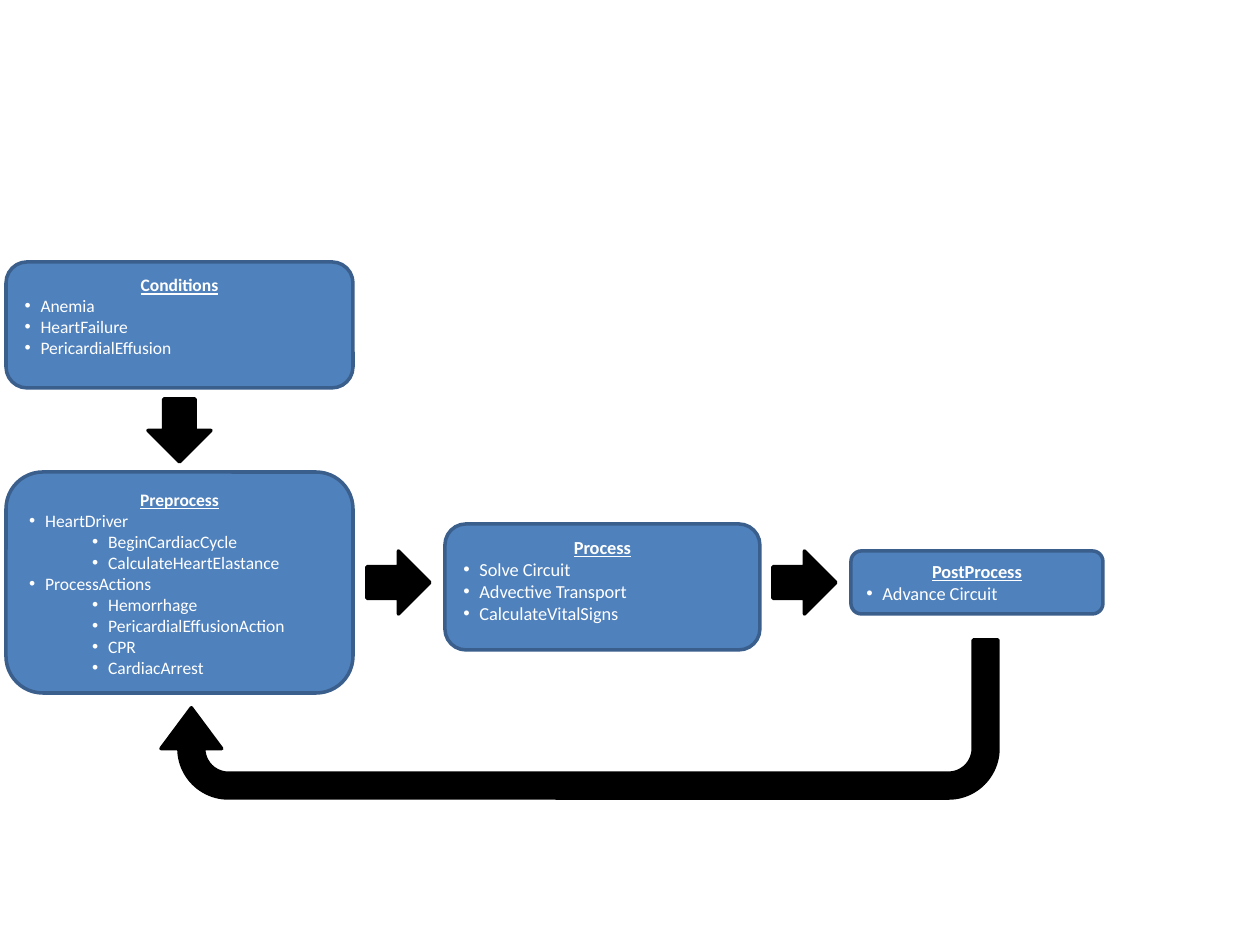
from lxml import etree
from pptx import Presentation
from pptx.dml.color import RGBColor
from pptx.enum.shapes import MSO_SHAPE
from pptx.enum.text import MSO_ANCHOR, PP_ALIGN
from pptx.oxml.ns import qn
from pptx.util import Emu, Pt

ROUND, DOWN, UTURN = MSO_SHAPE.ROUNDED_RECTANGLE, MSO_SHAPE.DOWN_ARROW, MSO_SHAPE.U_TURN_ARROW
LEFT, CENTER, TOP = PP_ALIGN.LEFT, PP_ALIGN.CENTER, MSO_ANCHOR.TOP
SCALE = 914400 // 126


def px(n):
    return Emu(n * SCALE)


def color(code):
    return RGBColor.from_string(code)


def write(para, text, size=10, bold=False, under=False, align=LEFT, indent=0, level=0):
    para.alignment, para.level = align, level
    run = para.add_run()
    run.text = text
    font = run.font
    font.name, font.size, font.bold, font.underline = "Calibri", Pt(size), bold, under
    font.color.rgb = color("FFFFFF")
    if indent:
        props = para._p.get_or_add_pPr()
        props.set("marL", str(px(indent)))
        props.set("indent", str(px(-16)))
        etree.SubElement(props, qn("a:buFont")).set("typeface", "Arial")
        etree.SubElement(props, qn("a:buChar")).set("char", "•")


class Flow:
    """Draws boxes and arrows of a flow chart on one slide."""

    def __init__(self, slide):
        self.slide = slide
        self.blue, self.edge, self.black = "4F81BD", "3A5F8C", "000000"

    def shape(self, kind, place, fill, line):
        item = self.slide.shapes.add_shape(kind, *map(px, place))
        item.shadow.inherit = False
        item.fill.solid()
        item.fill.fore_color.rgb = color(fill)
        item.line.color.rgb = color(line)
        item.line.width = Pt(2)
        return item

    def box(self, place, title, items, size=10):
        frame = self.shape(ROUND, place, self.blue, self.edge).text_frame
        frame.word_wrap, frame.vertical_anchor = True, TOP
        write(frame.paragraphs[0], title, size=size, bold=True, under=True, align=CENTER)
        for level, text in items:
            write(frame.add_paragraph(), text, size=size, indent=16 + 63 * level, level=level)

    def arrow(self, place, kind=DOWN, turn=0, adjust=()):
        item = self.shape(kind, place, self.black, self.black)
        item.rotation = turn
        for i, value in enumerate(adjust):
            item.adjustments[i] = value


deck = Presentation()
deck.slide_width, deck.slide_height = px(1260), px(945)
flow = Flow(deck.slides.add_slide(deck.slide_layouts[6]))

flow.box((6, 472, 347, 221), "Preprocess", [
    (0, "HeartDriver"),
    (1, "BeginCardiacCycle"),
    (1, "CalculateHeartElastance"),
    (0, "ProcessActions"),
    (1, "Hemorrhage"),
    (1, "PericardialEffusionAction"),
    (1, "CPR"),
    (1, "CardiacArrest"),
])
flow.box((445, 524, 315, 126), "Process", [
    (0, "Solve Circuit"),
    (0, "Advective Transport"),
    (0, "CalculateVitalSigns"),
], size=10.5)
flow.box((851, 551, 252, 63), "PostProcess", [(0, "Advance Circuit")], size=10.5)
flow.box((6, 262, 347, 126), "Conditions", [
    (0, "Anemia"),
    (0, "HeartFailure"),
    (0, "PericardialEffusion"),
])

for left in (367, 773):
    flow.arrow((left, 551, 63, 63), turn=270)
flow.arrow((148, 399, 63, 63))
flow.arrow((161, 640, 837, 158), UTURN, 180, (0.157, 0.192, 0.258, 0.438, 0.571))

deck.save("out.pptx")
